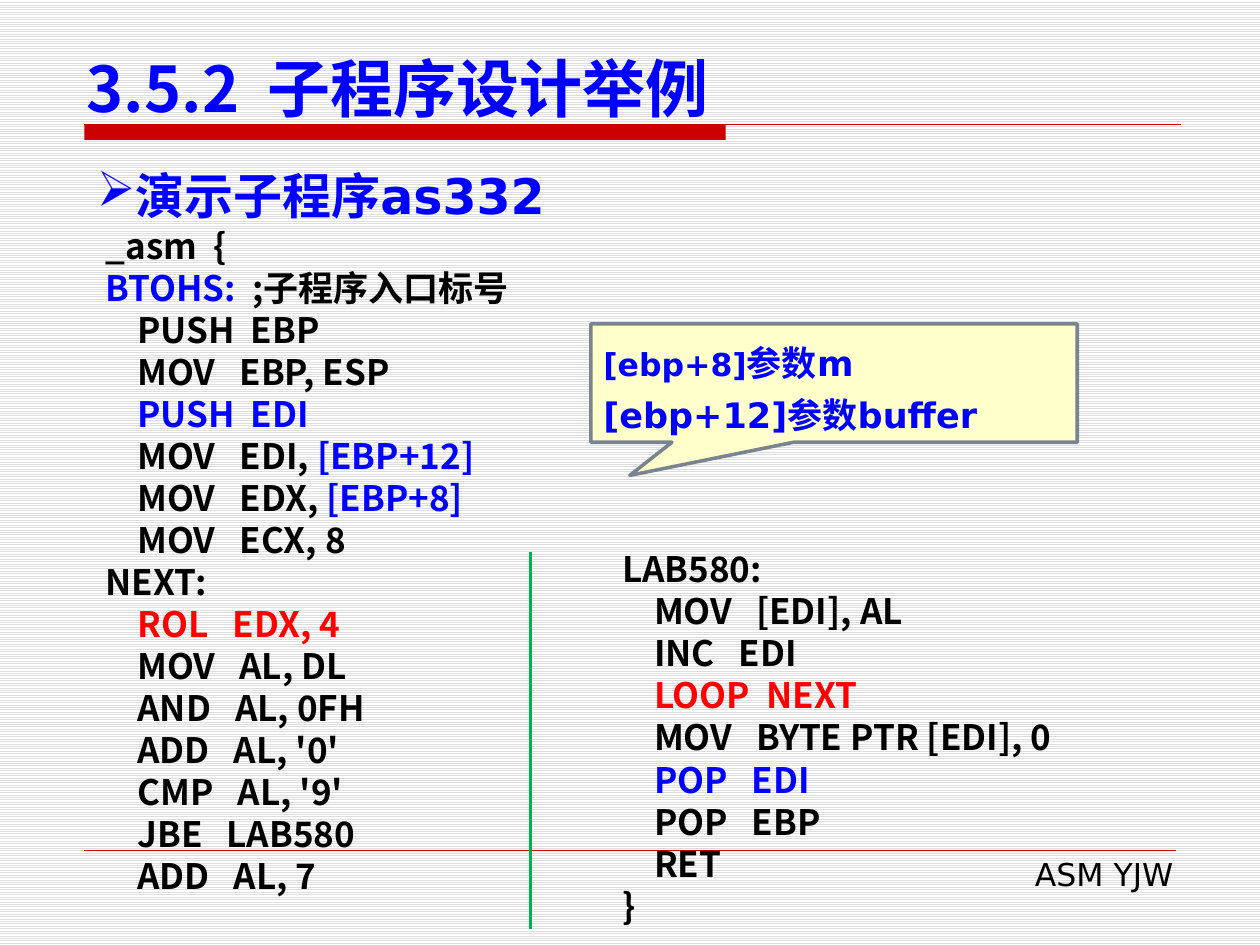
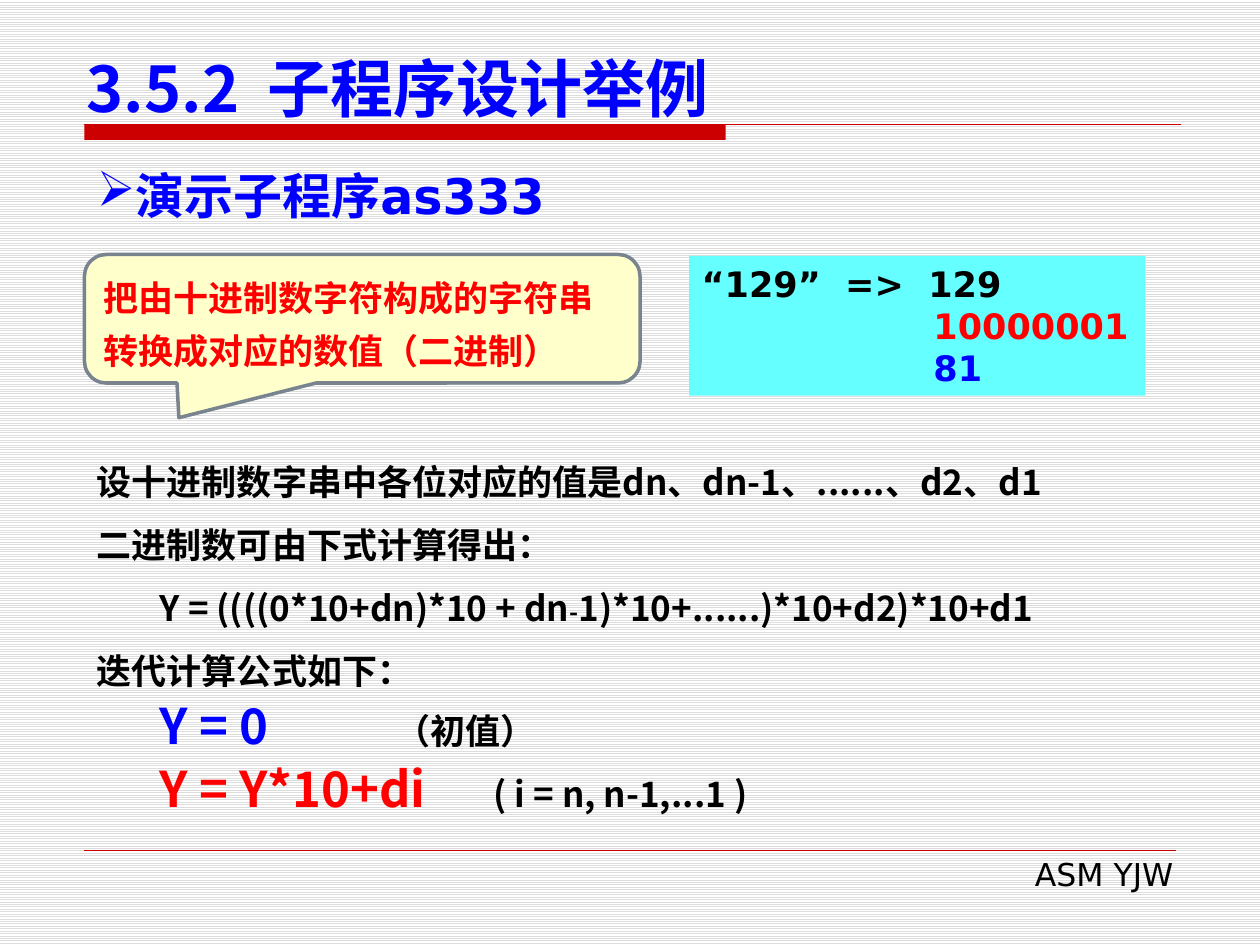
from lxml import etree
from pptx import Presentation
from pptx.dml.color import RGBColor
from pptx.enum.dml import MSO_PATTERN
from pptx.enum.shapes import MSO_CONNECTOR, MSO_SHAPE
from pptx.enum.text import MSO_ANCHOR, PP_ALIGN
from pptx.oxml.ns import qn
from pptx.util import Inches, Pt

LINES = MSO_PATTERN.LIGHT_HORIZONTAL
RECT = MSO_SHAPE.RECTANGLE
RECT_CALLOUT = MSO_SHAPE.RECTANGULAR_CALLOUT
ROUND_CALLOUT = MSO_SHAPE.ROUNDED_RECTANGULAR_CALLOUT
STRAIGHT = MSO_CONNECTOR.STRAIGHT
TOP, MIDDLE, BOTTOM = MSO_ANCHOR.TOP, MSO_ANCHOR.MIDDLE, MSO_ANCHOR.BOTTOM
LEFT, RIGHT, JUSTIFY = PP_ALIGN.LEFT, PP_ALIGN.RIGHT, PP_ALIGN.JUSTIFY

WIDTH, HEIGHT = Inches(10), Inches(7.5)
SANS, CJK = "DejaVu Sans", "Noto Sans CJK SC"
BLACK, BLUE, RED = "000000", "0000FF", "FF0000"
BAND, GREEN = "CC0000", "00B050"
CREAM, SLATE, CYAN = "FFFFCC", "79848F", "66FFFF"
MARGIN = 6.7
BAND_TOP = 13.2

CODE_LEFT = [
    "_asm  {",
    [("BTOHS:  ", BLUE), (";子程序入口标号", BLACK)],
    "    PUSH  EBP",
    "    MOV   EBP, ESP",
    [("    PUSH  EDI", BLUE)],
    [("    MOV   EDI, ", BLACK), ("[EBP+12]", BLUE)],
    [("    MOV   EDX, ", BLACK), ("[EBP+8]", BLUE)],
    "    MOV   ECX, 8",
    "NEXT:",
    [("    ROL   EDX, 4", RED)],
    "    MOV   AL, DL",
    "    AND   AL, 0FH",
    "    ADD   AL, '0'",
    "    CMP   AL, '9'",
    "    JBE   LAB580",
    "    ADD   AL, 7",
]
CODE_RIGHT = [
    "LAB580:",
    "    MOV   [EDI], AL",
    "    INC   EDI",
    [("    LOOP  NEXT", RED)],
    "    MOV   BYTE PTR [EDI], 0",
    [("    POP   EDI", BLUE)],
    "    POP   EBP",
    "    RET",
    "}",
]
PARAMETERS = [
    [("[ebp+8]", BLUE, 18), ("参数m", BLUE)],
    [("[ebp+12]参数buffer", BLUE)],
]
DERIVATION = [
    "设十进制数字串中各位对应的值是dn、dn-1、......、d2、d1",
    "二进制数可由下式计算得出：",
    [("\tY = ((((0*10+dn)*10 + dn", BLACK), ("-", BLACK, 14),
     ("1)*10+......)*10+d2)*10+d1", BLACK)],
    "迭代计算公式如下：",
    [("\tY = 0", BLUE, 28), ("\t（初值）", BLACK)],
    [("\tY = Y*10+di", RED, 28), ("\t( i = n, n-1,...1 )", BLACK)],
]
CONVERSION = ["“129”  =>  129", [("\t10000001", RED)], [("\t81", BLUE)]]
PURPOSE = [[("把由十进制数字符构成的字符串转换成对应的数值（二进制）", RED)]]


def rgb(hex_string):
    return RGBColor.from_string(hex_string)


def place(x, y, w, h):
    """Turn percentages of the slide's size into lengths."""
    return [int(size * share / 100)
            for size, share in zip((WIDTH, HEIGHT) * 2, (x, y, w, h))]


def add_bullet(p, char, indent):
    pPr = p._p.get_or_add_pPr()
    pPr.set("marL", str(Inches(indent)))
    pPr.set("indent", str(-Inches(indent)))
    etree.SubElement(pPr, qn("a:buChar"), char=char)


def add_tabs(p, stops):
    tabs = etree.SubElement(p._p.get_or_add_pPr(), qn("a:tabLst"))
    for stop in stops:
        etree.SubElement(tabs, qn("a:tab"), pos=str(Inches(stop)), algn="l")


def write(s, lines, font=CJK, size=20, bold=True, spacing=None, align=LEFT,
          anchor=TOP, bullet=None, tabs=()):
    """Fill a shape; a line is a string or a list of (text, colour[, size])."""
    tf = s.text_frame
    tf.word_wrap = True
    tf.vertical_anchor = anchor
    for i, line in enumerate(lines):
        p = tf.add_paragraph() if i else tf.paragraphs[0]
        if bullet:
            add_bullet(p, bullet, 0.31)
        if tabs:
            add_tabs(p, tabs)
        p.alignment = align
        if spacing:
            p.line_spacing = Pt(spacing)
        for text, color, *own_size in [(line, BLACK)] if isinstance(line, str) else line:
            r = p.add_run()
            r.text = text
            r.font.name = font
            r.font.size = Pt(own_size[0] if own_size else size)
            r.font.bold = bold
            r.font.color.rgb = rgb(color)
            etree.SubElement(r._r.get_or_add_rPr(), qn("a:ea"), typeface=CJK)


def add_text(slide, box, lines, **style):
    s = slide.shapes.add_textbox(*place(*box))
    write(s, lines, **style)
    return s


def add_box(slide, kind, box, fill, line=None, adjustments=()):
    s = slide.shapes.add_shape(kind, *place(*box))
    s.shadow.inherit = False
    s.fill.solid()
    s.fill.fore_color.rgb = rgb(fill)
    if line:
        s.line.color.rgb = rgb(line)
        s.line.width = Pt(2)
    else:
        s.line.fill.background()
    for i, value in enumerate(adjustments):
        s.adjustments[i] = value
    return s


def add_callout(slide, kind, box, adjustments, lines, font):
    s = add_box(slide, kind, box, CREAM, SLATE, adjustments)
    write(s, lines, font=font, spacing=30, anchor=MIDDLE)


def add_line(slide, x1, y1, x2, y2, color, width):
    s = slide.shapes.add_connector(STRAIGHT, *place(x1, y1, x2, y2))
    s.line.color.rgb = rgb(color)
    s.line.width = Pt(width)
    etree.SubElement(s._element.spPr, qn("a:effectLst"))


def add_lesson_slide(prs, topic):
    """Add a slide with the band, footer, section title and topic line."""
    slide = prs.slides.add_slide(prs.slide_layouts[6])
    add_box(slide, RECT, (MARGIN, BAND_TOP, 50.9, 1.6), BAND)
    add_line(slide, MARGIN, BAND_TOP, 93.7, BAND_TOP, BAND, 0.75)
    add_line(slide, MARGIN, 90, 93.3, 90, BAND, 0.25)
    add_text(slide, (38.2, 89.87, 55.9, 5.33), ["ASM YJW"],
             font=SANS, size=18, bold=False, align=RIGHT)
    title = add_text(slide, (5.9, 3.73, 90.6, 9.47),
                     [[("3.5.2  子程序设计举例", BLUE)]], size=36, anchor=BOTTOM)
    title.text_frame.margin_bottom = 0
    add_text(slide, (MARGIN, 16.4, 86.6, 7.6), [[(topic, BLUE)]],
             font=SANS, size=28, spacing=36, align=JUSTIFY, bullet="➢")
    return slide


def add_code_slide(prs):
    slide = add_lesson_slide(prs, "演示子程序as332")
    add_text(slide, (7.4, 23.07, 90.6, 73.2), CODE_LEFT, spacing=24)
    add_callout(slide, RECT_CALLOUT, (46.9, 34.27, 38.6, 12.53),
                (-0.42, 0.78), PARAMETERS, SANS)
    add_text(slide, (48.4, 57.33, 43.3, 41.73), CODE_RIGHT, spacing=24)
    add_line(slide, 42.1, 58.4, 42.1, 98.27, GREEN, 1.5)


def add_formula_slide(prs):
    slide = add_lesson_slide(prs, "演示子程序as333")
    add_text(slide, (MARGIN, 45.87, 90.6, 41.73), DERIVATION,
             spacing=36, tabs=(0.5, 2.37, 3.15))
    add_callout(slide, ROUND_CALLOUT, (MARGIN, 26.93, 44.1, 13.6),
                (-0.33, 0.77, 0.17), PURPOSE, CJK)
    s = add_box(slide, RECT, (54.7, 27.07, 36.2, 14.8), CYAN)
    write(s, CONVERSION, font=SANS, spacing=24, tabs=(1.84,))


def main():
    prs = Presentation()
    prs.slide_width, prs.slide_height = WIDTH, HEIGHT
    fill = prs.slide_master.background.fill
    fill.patterned()
    fill.pattern = LINES
    fill.fore_color.rgb = rgb("DDDDDD")
    fill.back_color.rgb = rgb("FFFFFF")
    add_code_slide(prs)
    add_formula_slide(prs)
    prs.save("out.pptx")


if __name__ == "__main__":
    main()
